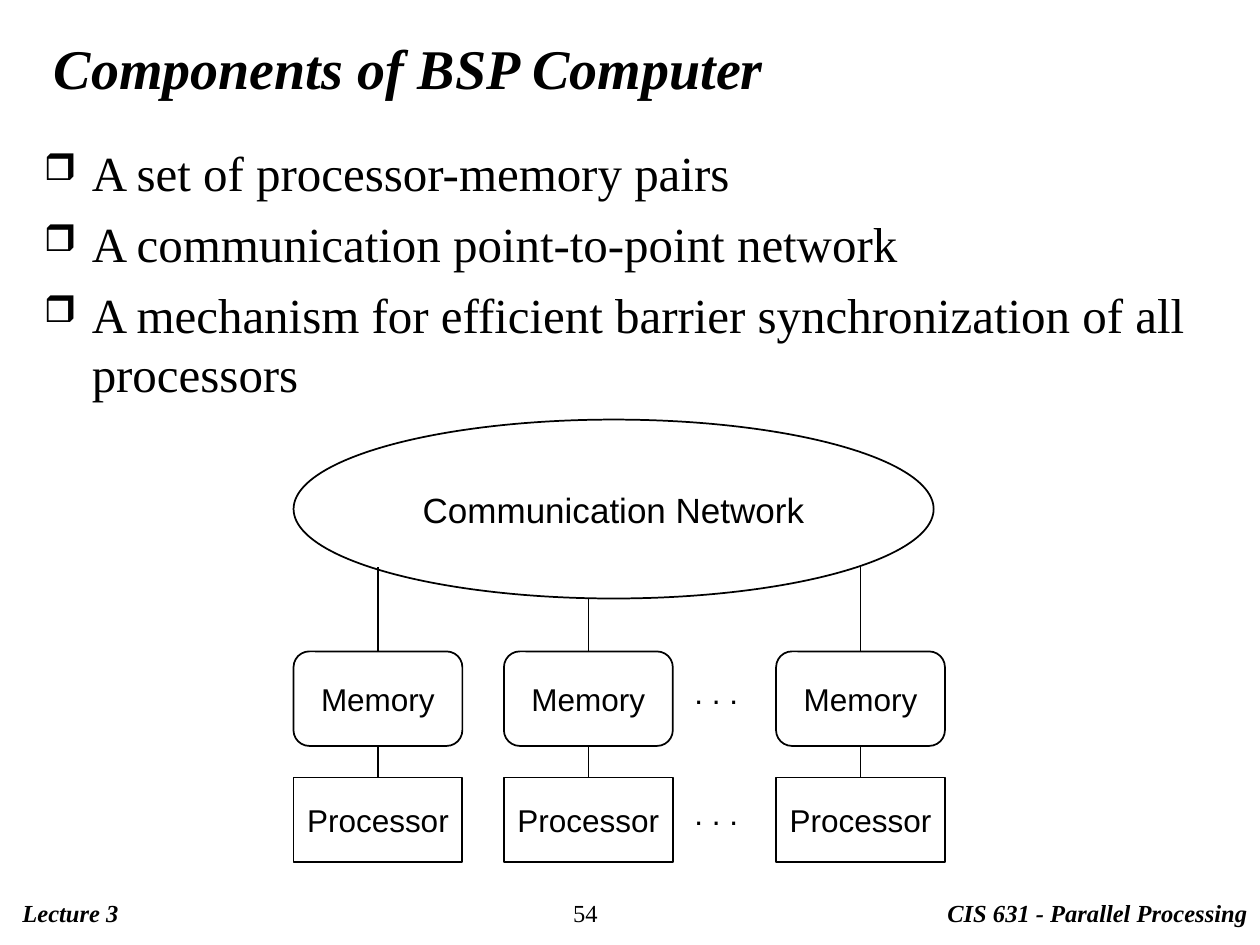
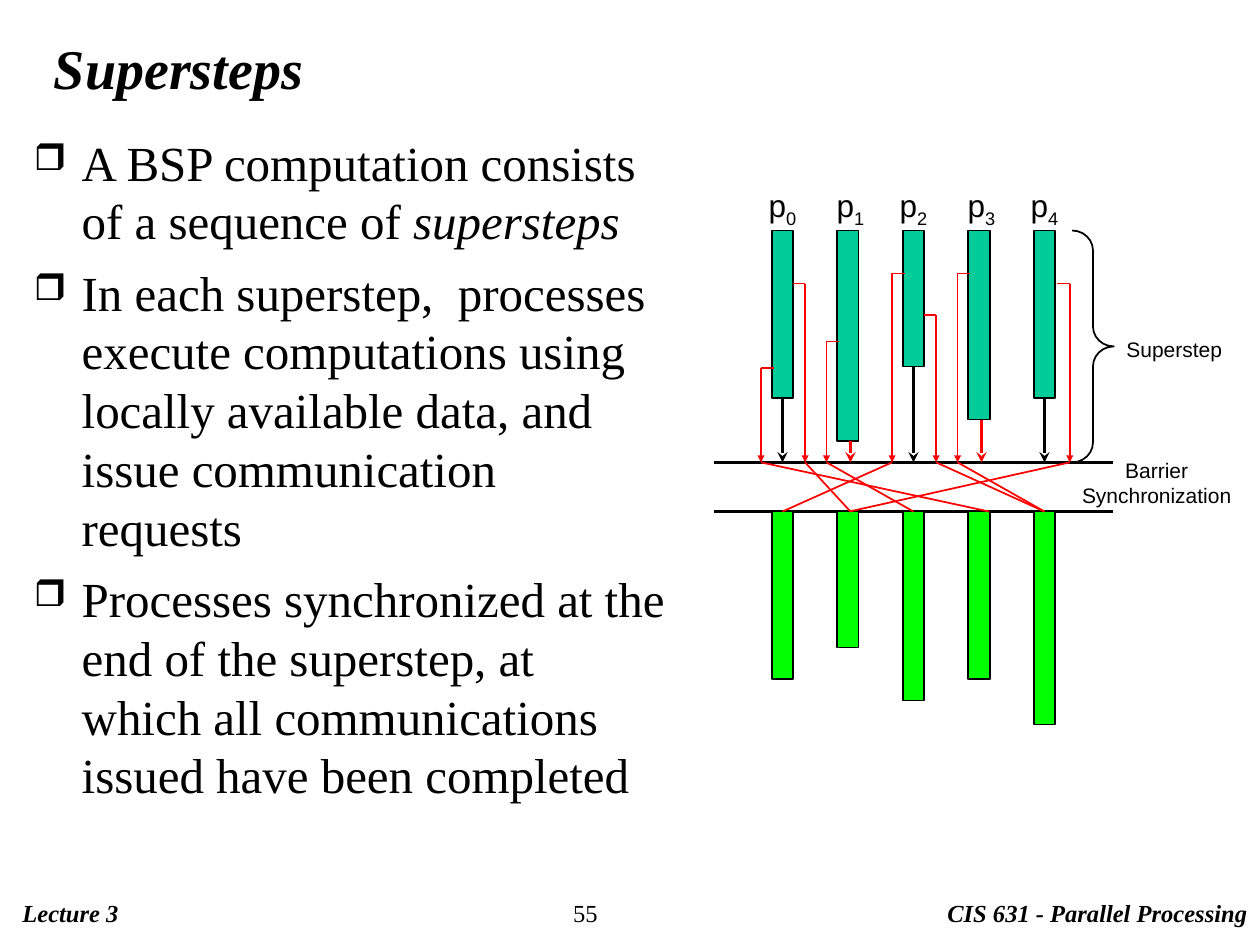
import pptx
import pptx.util
import pptx.dml.color
import pptx.enum.shapes
import pptx.enum.text
import pptx.oxml.ns
import lxml.etree

Inches = pptx.util.Inches
Pt = pptx.util.Pt
qn = pptx.oxml.ns.qn
RGB = pptx.dml.color.RGBColor.from_string
SHAPE = pptx.enum.shapes.MSO_SHAPE
ALIGN = pptx.enum.text.PP_ALIGN
ANCHOR = pptx.enum.text.MSO_ANCHOR

COLORS = {"ink": "000000", "message": "FF0000", "compute": "00CC99", "next": "00FF00"}
SERIF, SANS = "Times New Roman", "Arial"


def write(box, paragraphs, size, font=SANS, align=ALIGN.CENTER, anchor=ANCHOR.TOP, wrap=False, strong=False):
    frame = box.text_frame
    frame.word_wrap = wrap
    frame.vertical_anchor = anchor
    for index, pieces in enumerate(paragraphs):
        para = frame.add_paragraph() if index else frame.paragraphs[0]
        para.text = pieces[0]
        for piece in pieces[1:]:
            para.add_run().text = piece
        para.alignment = align
        for span in para.runs:
            span.font.name = font
            span.font.size = Pt(size)
            span.font.bold = strong
            span.font.italic = strong
            span.font.color.rgb = RGB(COLORS["ink"])
    return frame


def draw_line(page, start, end, color="ink", width=1, arrow=None, arrow_size="med"):
    line = page.shapes.add_connector(
        pptx.enum.shapes.MSO_CONNECTOR.STRAIGHT, *[Inches(value) for value in (*start, *end)])
    line.line.color.rgb = RGB(COLORS[color])
    line.line.width = Pt(width)
    if arrow:
        lxml.etree.SubElement(
            line.line._get_or_add_ln(), qn("a:tailEnd"), type=arrow, w=arrow_size, len=arrow_size)
    lxml.etree.SubElement(line._element.spPr, qn("a:effectLst"))
    return line


deck = pptx.Presentation()
deck.slide_width = Inches(10)
deck.slide_height = Inches(7.5)

contents = [
    ("Components of BSP Computer", "54", (0.25, 1.08, 9.58, 6), [
        ["A set of processor-memory pairs"],
        ["A communication point-to-point network"],
        ["A mechanism for efficient barrier synchronization of all processors"],
    ]),
    ("Supersteps", "55", (0.17, 1, 5.21, 6), [
        ["A BSP computation consists of a sequence of ", "supersteps"],
        ["In each superstep,  processes execute computations using locally available data, "
         "and issue communication requests"],
        ["Processes synchronized at the end of the superstep, at which all communications "
         "issued have been completed"],
    ]),
]
pages = []
for title, number, body_area, bullets in contents:
    page = deck.slides.add_slide(deck.slide_layouts[6])
    pages.append(page)
    for text, area, size, anchor, strong in [
        ("CIS 631 - Parallel Processing", (7.42, 7.08, 2.58, 0.34), 14, ANCHOR.TOP, True),
        ("Lecture 3", (0.08, 7.08, 4, 0.34), 14, ANCHOR.TOP, True),
        (number, (4.45, 7.08, 1.01, 0.34), 14, ANCHOR.TOP, False),
        (title, (0.33, 0.28, 9.42, 0.5), 32, ANCHOR.MIDDLE, True),
    ]:
        box = page.shapes.add_textbox(*[Inches(value) for value in area])
        write(box, [[text]], size, SERIF, ALIGN.LEFT, anchor, True, strong)

    box = page.shapes.add_textbox(*[Inches(value) for value in body_area])
    frame = write(box, bullets, 28, SERIF, ALIGN.LEFT, wrap=True)
    for para in frame.paragraphs:
        para.space_before = Pt(7)
        for span in para.runs[1:]:
            span.font.italic = True
        properties = para._p.get_or_add_pPr()
        properties.set("marL", str(Inches(0.38)))
        properties.set("indent", str(Inches(-0.38)))
        bullet_color = lxml.etree.SubElement(properties, qn("a:buClr"))
        lxml.etree.SubElement(bullet_color, qn("a:srgbClr"), val=COLORS["ink"])
        lxml.etree.SubElement(properties, qn("a:buSzPct"), val="75000")
        lxml.etree.SubElement(properties, qn("a:buChar"), char="❒")

components, supersteps = pages

centers = [3, 4.67, 6.83]
nodes = [(SHAPE.OVAL, (2.33, 3.33, 5.08, 1.42), "Communication Network", 20)]
for center in centers:
    nodes.append((SHAPE.ROUNDED_RECTANGLE, (center - 0.67, 5.17, 1.34, 0.75), "Memory", 18))
    nodes.append((SHAPE.RECTANGLE, (center - 0.67, 6.17, 1.34, 0.67), "Processor", 18))
drawn = []
for kind, area, text, size in nodes:
    node = components.shapes.add_shape(kind, *[Inches(value) for value in area])
    node.shadow.inherit = False
    node.fill.background()
    node.line.color.rgb = RGB(COLORS["ink"])
    node.line.width = Pt(1)
    write(node, [[text]], size, anchor=ANCHOR.MIDDLE)
    drawn.append(node)

for memory, processor, center, network_edge in zip(drawn[1::2], drawn[2::2], centers, (4.5, 4.75, 4.5)):
    link = draw_line(components, (center, 5.92), (center, 6.17))
    link.begin_connect(memory, 2)
    link.end_connect(processor, 0)
    link = draw_line(components, (center, 5.17), (center, network_edge))
    link.begin_connect(memory, 0)

for top in (5.29, 6.25):
    box = components.shapes.add_textbox(Inches(5.38), Inches(top), Inches(0.61), Inches(0.4))
    write(box, [[". . . "]], 18)

START, BARRIER, RESUME = 1.83, 3.67, 4.06
for level in (BARRIER, RESUME):
    draw_line(supersteps, (5.67, level), (8.83, level), width=1.5)

compute_heights = [1.33, 1.67, 1.08, 1.5, 1.33]
next_heights = [1.33, 1.08, 1.5, 1.33, 1.69]
for index, heights in enumerate(zip(compute_heights, next_heights)):
    center = 6.21 + 0.52 * index
    odd = index % 2
    arrow_x = center + 0.02 * odd
    bars = []
    for top, height, color in zip((START, RESUME), heights, ("compute", "next")):
        bar = supersteps.shapes.add_shape(
            SHAPE.RECTANGLE, Inches(center - 0.085), Inches(top), Inches(0.17), Inches(height))
        bar.shadow.inherit = False
        bar.fill.solid()
        bar.fill.fore_color.rgb = RGB(COLORS[color])
        bar.line.color.rgb = RGB(COLORS["ink"])
        bar.line.width = Pt(1)
        bars.append(bar)
    wait = draw_line(supersteps, (arrow_x, START + heights[0]), (arrow_x, BARRIER),
                     "message" if odd else "ink", 2, "stealth")
    if not odd:
        wait.begin_connect(bars[0], 2)
    box = supersteps.shapes.add_textbox(Inches(arrow_x - 0.21), Inches(1.43), Inches(0.42), Inches(0.44))
    frame = write(box, [["p", str(index)]], 18)
    frame.paragraphs[0].runs[1].font._element.set("baseline", "-25000")

messages = [
    (6.29, 6.39, 2.25, 6.75),
    (6.14, 6.04, 2.92, 7.85),
    (7.33, 7.43, 2.5, 8.29),
    (7.18, 7.08, 2.17, 6.21),
    (8.39, 8.49, 2.25, 6.74),
    (6.66, 6.56, 2.71, 7.25),
    (7.7, 7.6, 2.17, 8.29),
]
for sender, lane, sent, receiver in messages:
    draw_line(supersteps, (sender, sent), (lane, sent), "message")
    draw_line(supersteps, (lane, sent), (lane, BARRIER), "message", arrow="triangle", arrow_size="sm")
    draw_line(supersteps, (lane, BARRIER), (receiver, RESUME), "message")

brace = supersteps.shapes.add_shape(
    SHAPE.RIGHT_BRACE, Inches(8.51), Inches(START), Inches(0.33), Inches(BARRIER - START))
brace.adjustments[0] = 0.48
brace.shadow.inherit = False
brace.fill.background()
brace.line.color.rgb = RGB(COLORS["ink"])
brace.line.width = Pt(1)

for area, lines in [
    ((8.84, 2.62, 0.96, 0.3), [["Superstep"]]),
    ((8.39, 3.58, 1.58, 0.5), [["Barrier"], ["Synchronization"]]),
]:
    box = supersteps.shapes.add_textbox(*[Inches(value) for value in area])
    write(box, lines, 12)

deck.save("out.pptx")
